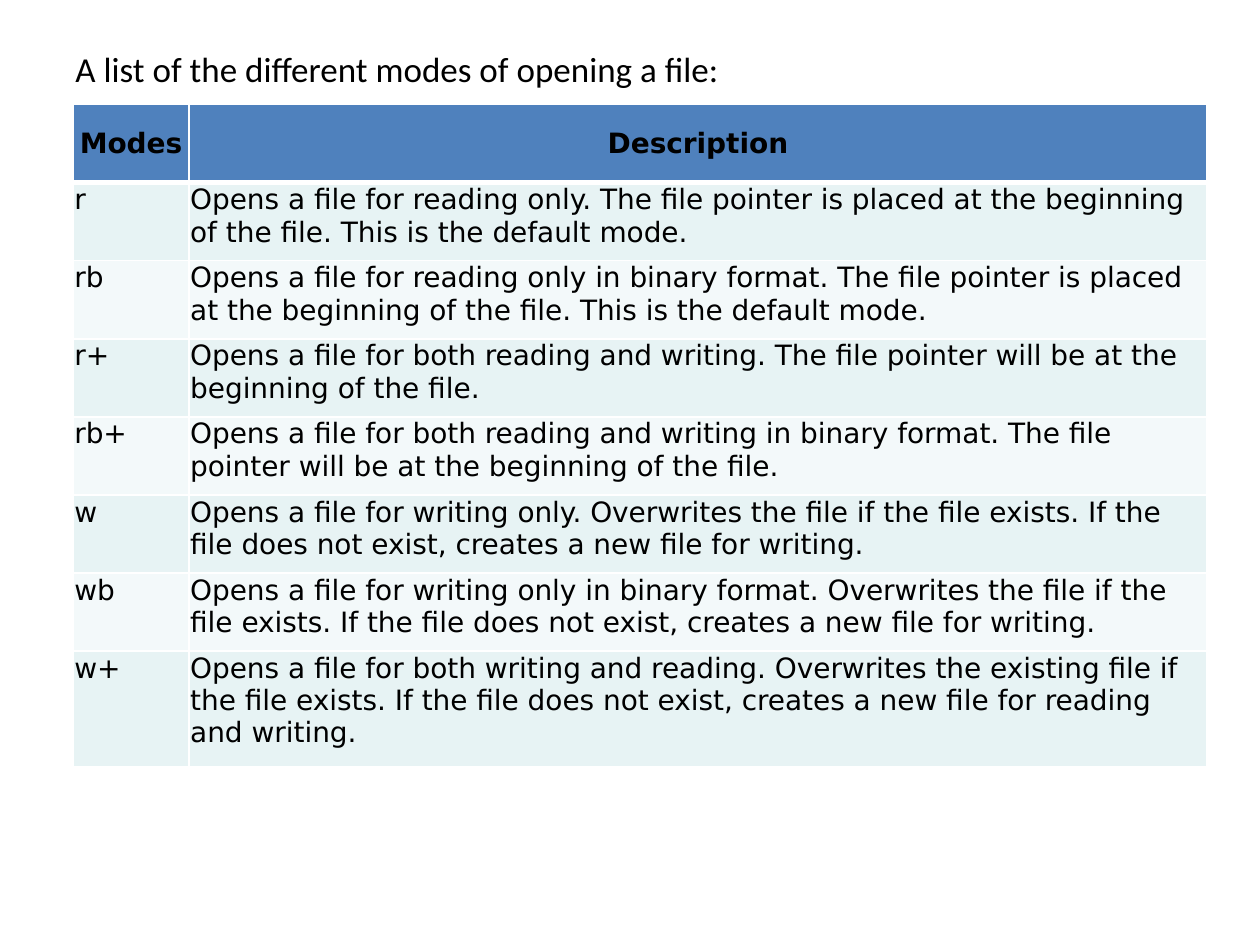
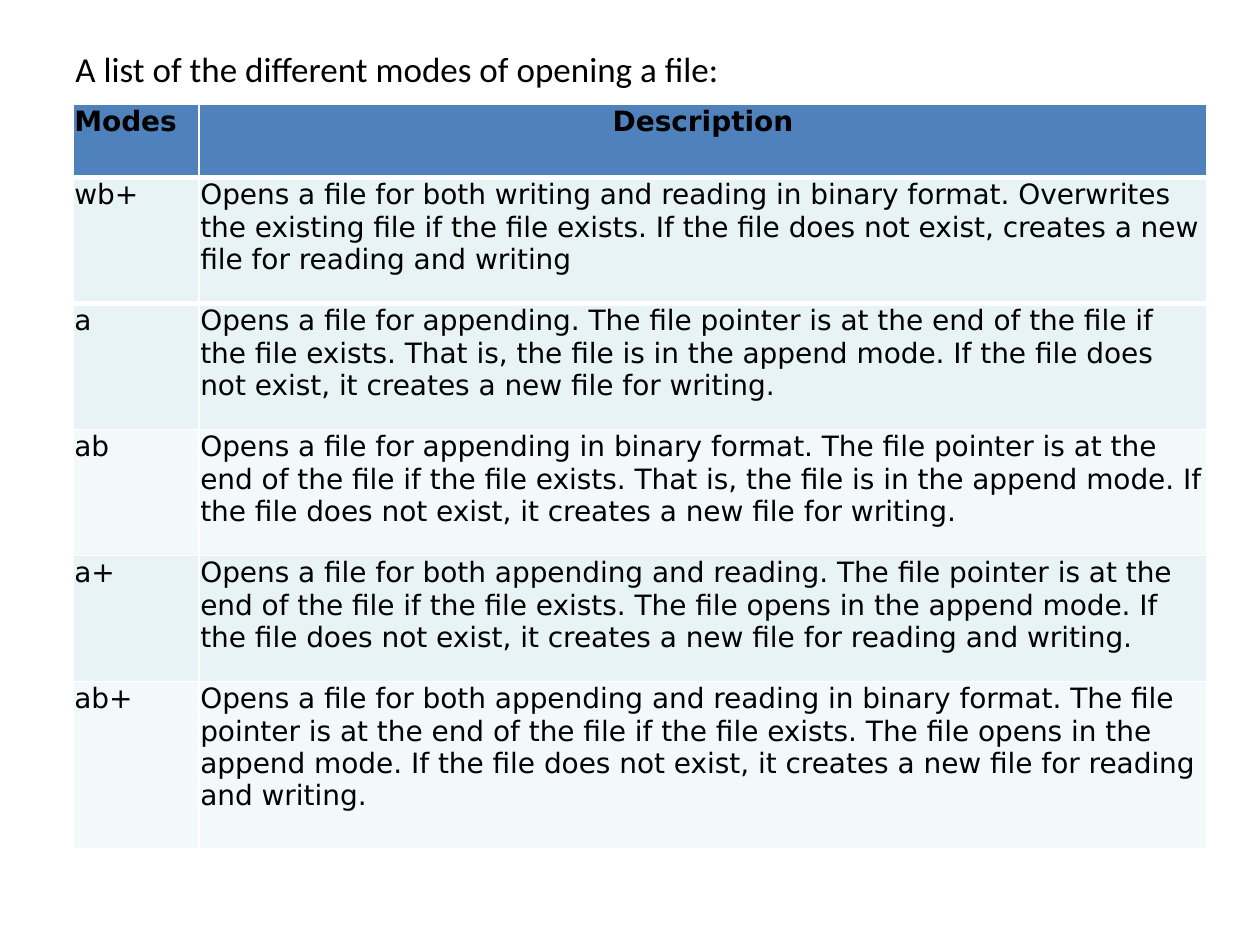
"""Build two slides that list the modes of opening a file."""
from lxml import etree
from pptx import Presentation
from pptx.dml.color import RGBColor
from pptx.enum.text import MSO_ANCHOR, PP_ALIGN
from pptx.oxml.ns import qn
from pptx.util import Inches, Pt

LEFT, CENTER = PP_ALIGN.LEFT, PP_ALIGN.CENTER
TOP, MIDDLE = MSO_ANCHOR.TOP, MSO_ANCHOR.MIDDLE
COLORS = {"text": "000000", "header": "4F81BD", "border": "FFFFFF"}
BANDS = ["E7F3F4", "F3F9FA"]
TITLE = "A list of the different modes of opening a file:"
HEADINGS = ("Modes", "Description")

PAGES = [
    {
        "column_widths": [0.92, 8.08],
        "row_heights": [0.62] * 7 + [0.92],
        "heading_aligns": [CENTER, CENTER],
        "heading_anchor": MIDDLE,
        "thick_above": {1},
        "modes": [
            ("r", "Opens a file for reading only. The file pointer is placed at the beginning "
                  "of the file. This is the default mode."),
            ("rb", "Opens a file for reading only in binary format. The file pointer is placed "
                   "at the beginning of the file. This is the default mode."),
            ("r+", "Opens a file for both reading and writing. The file pointer will be at the "
                   "beginning of the file."),
            ("rb+", "Opens a file for both reading and writing in binary format. The file "
                    "pointer will be at the beginning of the file."),
            ("w", "Opens a file for writing only. Overwrites the file if the file exists. If the "
                  "file does not exist, creates a new file for writing."),
            ("wb", "Opens a file for writing only in binary format. Overwrites the file if the "
                   "file exists. If the file does not exist, creates a new file for writing."),
            ("w+", "Opens a file for both writing and reading. Overwrites the existing file if "
                   "the file exists. If the file does not exist, creates a new file for reading "
                   "and writing."),
        ],
    },
    {
        "column_widths": [1, 8],
        "row_heights": [0.58] + [1] * 4 + [1.33],
        "heading_aligns": [LEFT, CENTER],
        "heading_anchor": TOP,
        "thick_above": {1, 2},
        "modes": [
            ("wb+", "Opens a file for both writing and reading in binary format. Overwrites "
                    "the existing file if the file exists. If the file does not exist, creates a "
                    "new file for reading and writing"),
            ("a", "Opens a file for appending. The file pointer is at the end of the file if "
                  "the file exists. That is, the file is in the append mode. If the file does "
                  "not exist, it creates a new file for writing."),
            ("ab", "Opens a file for appending in binary format. The file pointer is at the "
                   "end of the file if the file exists. That is, the file is in the append mode. "
                   "If the file does not exist, it creates a new file for writing."),
            ("a+", "Opens a file for both appending and reading. The file pointer is at the "
                   "end of the file if the file exists. The file opens in the append mode. If "
                   "the file does not exist, it creates a new file for reading and writing."),
            ("ab+", "Opens a file for both appending and reading in binary format. The file "
                    "pointer is at the end of the file if the file exists. The file opens in the "
                    "append mode. If the file does not exist, it creates a new file for reading "
                    "and writing."),
        ],
    },
]


def write(frame, text, size=16, font="DejaVu Sans", bold=False, align=LEFT):
    frame.word_wrap = True
    paragraph = frame.paragraphs[0]
    paragraph.alignment = align
    run = paragraph.add_run()
    run.text = text
    run.font.size = Pt(size)
    run.font.name = font
    run.font.bold = bold
    run.font.color.rgb = RGBColor.from_string(COLORS["text"])


def set_borders(cell, top, bottom):
    properties = cell._tc.get_or_add_tcPr()
    for side, width in (("L", 1), ("R", 1), ("T", top), ("B", bottom)):
        line = etree.SubElement(properties, qn(f"a:ln{side}"), w=str(Pt(width)))
        fill = etree.SubElement(line, qn("a:solidFill"))
        etree.SubElement(fill, qn("a:srgbClr"), val=COLORS["border"])


deck = Presentation()
deck.slide_width, deck.slide_height = Inches(10), Inches(7.5)

for page in PAGES:
    slide = deck.slides.add_slide(deck.slide_layouts[6])
    title = slide.shapes.add_textbox(Inches(0.5), Inches(0.33), Inches(9.08), Inches(6.83))
    write(title.text_frame, TITLE, size=20, font="Calibri")

    rows = [HEADINGS] + page["modes"]
    widths, heights = page["column_widths"], page["row_heights"]
    mode_table = slide.shapes.add_table(
        len(rows), len(widths), Inches(0.58), Inches(0.83),
        Inches(sum(widths)), Inches(sum(heights))).table
    for column, width in zip(mode_table.columns, widths):
        column.width = Inches(width)

    band = 0
    thick_above = page["thick_above"]
    for index, (texts, height) in enumerate(zip(rows, heights)):
        mode_table.rows[index].height = Inches(height)
        is_header = index == 0
        band = 0 if index in thick_above else 1 - band
        aligns = page["heading_aligns"] if is_header else [LEFT, LEFT]
        for column, (text, align) in enumerate(zip(texts, aligns)):
            cell = mode_table.cell(index, column)
            cell.margin_left = cell.margin_right = cell.margin_top = Inches(0.01)
            cell.margin_bottom = 0
            cell.vertical_anchor = page["heading_anchor"] if is_header else TOP
            set_borders(cell, top=3 if index in thick_above else 1,
                        bottom=3 if index + 1 in thick_above else 1)
            cell.fill.solid()
            cell.fill.fore_color.rgb = RGBColor.from_string(
                COLORS["header"] if is_header else BANDS[band])
            write(cell.text_frame, text, bold=is_header, align=align)

deck.save("out.pptx")
